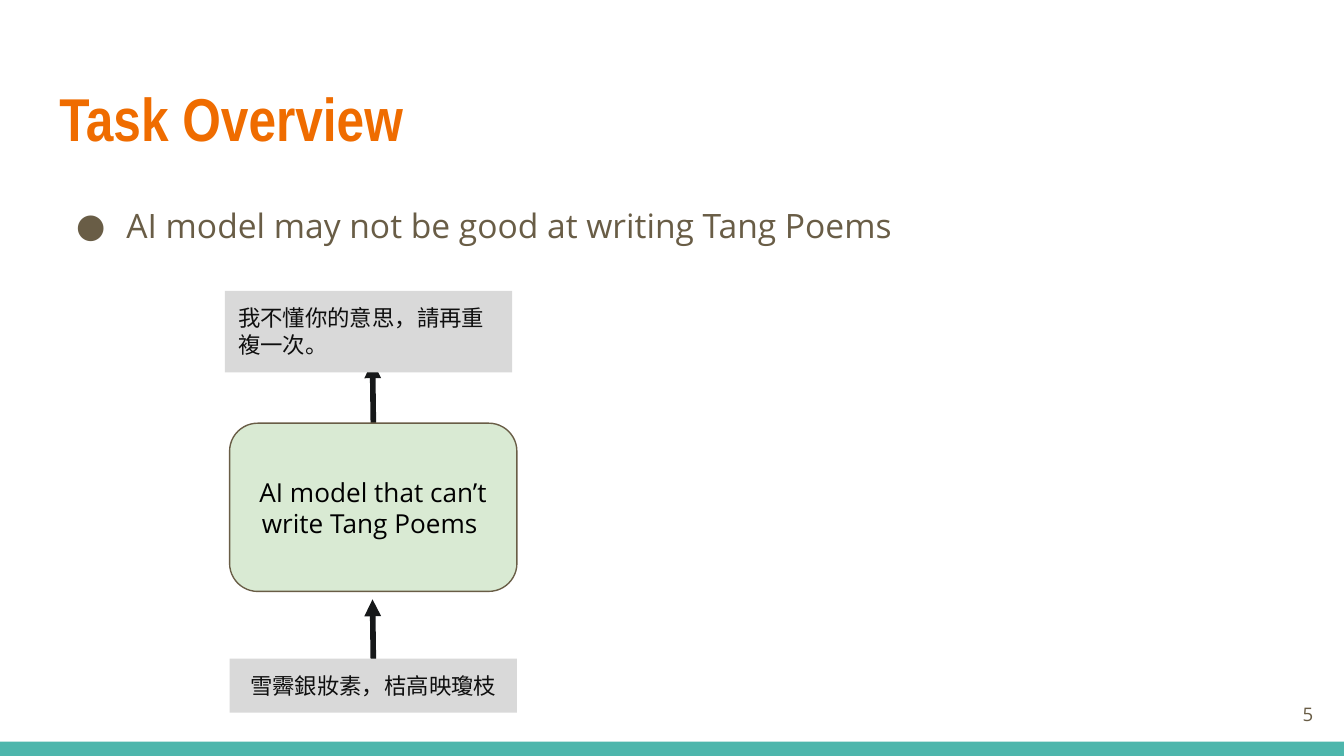
from pptx import Presentation
from pptx.dml.color import RGBColor
from pptx.enum.shapes import MSO_CONNECTOR, MSO_SHAPE
from pptx.enum.text import MSO_ANCHOR, MSO_AUTO_SIZE, PP_ALIGN
from pptx.oxml.ns import qn
from pptx.util import Cm, Pt
from lxml.etree import SubElement

ORANGE = RGBColor(0xEF, 0x6C, 0x00)
BROWN = RGBColor(0x69, 0x5D, 0x46)
TEAL = RGBColor(0x4D, 0xB6, 0xAC)
GREEN = RGBColor(0xD9, 0xEA, 0xD3)
GRAY = RGBColor(0xD9, 0xD9, 0xD9)
INK = RGBColor(0x16, 0x18, 0x19)
DARK = RGBColor(0x0F, 0x0F, 0x0F)
BLACK = RGBColor(0, 0, 0)


def write(shape, text, font, size, color, align=PP_ALIGN.LEFT, anchor=MSO_ANCHOR.TOP):
    frame = shape.text_frame
    frame.word_wrap = True
    frame.auto_size = MSO_AUTO_SIZE.NONE
    frame.vertical_anchor = anchor
    frame.margin_left = frame.margin_right = Cm(0.25)
    frame.margin_top = frame.margin_bottom = Cm(0.25)
    para = frame.paragraphs[0]
    para.text = text
    para.alignment = align
    para.space_before = Pt(0)
    for run in para.runs:
        run.font.name = font
        run.font.size = Pt(size)
        run.font.color.rgb = color
    return para


def place(shape, left, top, width, height):
    shape.left, shape.top = Cm(left), Cm(top)
    shape.width, shape.height = Cm(width), Cm(height)


deck = Presentation()
deck.slide_width, deck.slide_height = Cm(25.4), Cm(14.29)
slide = deck.slides.add_slide(deck.slide_layouts[1])
shapes = slide.shapes

band = shapes.add_shape(MSO_SHAPE.RECTANGLE, Cm(0), Cm(14.02), Cm(25.4), Cm(0.27))
band.shadow.inherit = False
band.fill.solid()
band.fill.fore_color.rgb = TEAL
band.line.fill.background()

title = shapes.title
place(title, 0.87, 1.25, 23.67, 1.95)
para = write(title, "Task Overview", "Arial Narrow", 32.4, ORANGE, anchor=MSO_ANCHOR.MIDDLE)
para.runs[0].font.bold = True

body = slide.placeholders[1]
place(body, 0.87, 3.5, 23.67, 3.28)
para = write(body, "AI model may not be good at writing Tang Poems", "Open Sans", 18, BROWN)
para.line_spacing = 1.15
props = para._p.get_or_add_pPr()
props.set("marL", str(Cm(1.27)))
props.set("indent", str(Cm(-0.95)))
tint = SubElement(props, qn("a:buClr"))
SubElement(tint, qn("a:srgbClr"), val=str(BROWN))
SubElement(props, qn("a:buFont"), typeface="Open Sans")
SubElement(props, qn("a:buChar"), char="●")

for start, end in [(8.31, 6.83), (12.8, 11.33)]:
    arrow = shapes.add_connector(MSO_CONNECTOR.STRAIGHT, Cm(7.06), Cm(start), Cm(7.04), Cm(end))
    arrow.line.color.rgb = INK
    arrow.line.width = Pt(3)
    SubElement(arrow.line._get_or_add_ln(), qn("a:tailEnd"), type="triangle")
    SubElement(arrow._element.spPr, qn("a:effectLst"))

boxes = [
    (MSO_SHAPE.ROUNDED_RECTANGLE, 4.34, 8, 3.18, GREEN, "AI model that can’t\nwrite Tang Poems ",
     "Open Sans", 14, BLACK, PP_ALIGN.CENTER, MSO_ANCHOR.MIDDLE),
    (MSO_SHAPE.RECTANGLE, 4.34, 12.45, 1.02, GRAY, "雪霽銀妝素，桔高映瓊枝",
     "Arial", 12, DARK, PP_ALIGN.CENTER, MSO_ANCHOR.TOP),
    (MSO_SHAPE.RECTANGLE, 4.25, 5.5, 1.54, GRAY, "我不懂你的意思，請再重複一次。",
     "Arial", 12, DARK, PP_ALIGN.LEFT, MSO_ANCHOR.TOP),
]
for kind, left, top, height, fill, *words in boxes:
    box = shapes.add_shape(kind, Cm(left), Cm(top), Cm(5.43), Cm(height))
    box.shadow.inherit = False
    box.fill.solid()
    box.fill.fore_color.rgb = fill
    if kind == MSO_SHAPE.ROUNDED_RECTANGLE:
        box.line.color.rgb = BROWN
        box.line.width = Pt(0.75)
    else:
        box.line.fill.background()
    write(box, *words)

number = shapes.add_textbox(Cm(23.55), Cm(12.95), Cm(1.52), Cm(1.09))
write(number, "5", "Open Sans", 10, BROWN, PP_ALIGN.RIGHT, MSO_ANCHOR.MIDDLE)

deck.save("out.pptx")
